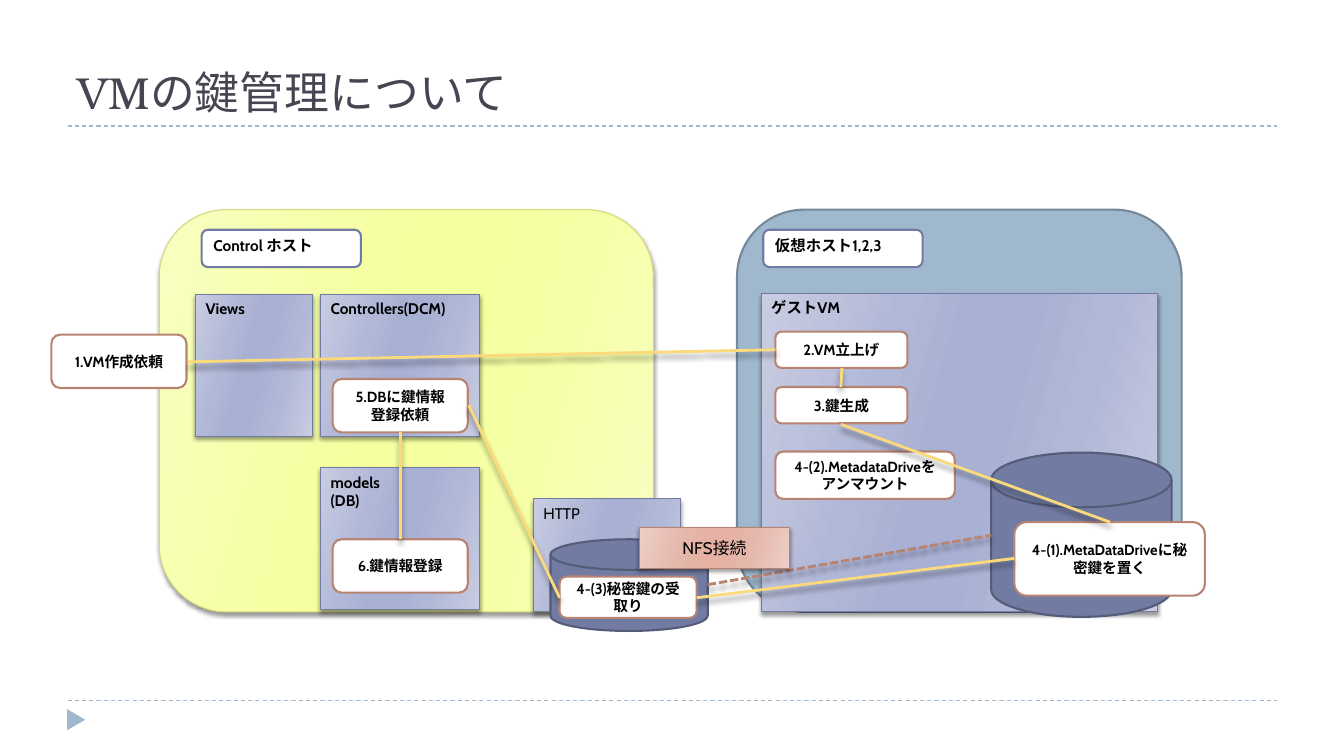
from dataclasses import dataclass
from typing import Optional

from lxml.etree import SubElement
from pptx import Presentation
from pptx.dml.color import RGBColor
from pptx.enum.dml import MSO_LINE_DASH_STYLE as Dash
from pptx.enum.shapes import MSO_CONNECTOR, MSO_SHAPE as Kind
from pptx.enum.text import MSO_ANCHOR as Anchor, PP_ALIGN as Align
from pptx.oxml.ns import qn
from pptx.util import Inches, Pt


@dataclass(frozen=True)
class Theme:
    body_font: str = "Cabin"
    title_font: str = "TeX Gyre Bonum"
    title_size: float = 32
    label_size: float = 11
    step_size: float = 10.5
    link_size: float = 12
    black: str = "000000"
    white: str = "FFFFFF"
    title: str = "464653"
    sky: str = "9FB8CD"
    sky_edge: str = "768898"
    indigo: str = "727CA3"
    indigo_edge: str = "545C79"
    lime_edge: str = "D2DA7A"
    clay: str = "B88472"
    gold: str = "FADA7A"
    indigo_shades: tuple = ("C9CDE2", "B1B7D7", "A8B0D3")
    lime_shades: tuple = ("F8FEC2", "F6FFA7", "F6FF9F")
    clay_shades: tuple = ("ECCEC6", "E6B8AC", "E4B1A3")


THEME = Theme()


@dataclass(frozen=True)
class Look:
    kind: Kind
    fill: str | tuple
    edge: Optional[str]
    edge_width: float = 1.5
    size: float = THEME.label_size
    bold: bool = True
    centred: bool = False


@dataclass(frozen=True)
class Block:
    look: Look
    left: float
    top: float
    width: float
    height: float
    text: str = ""


@dataclass(frozen=True)
class Link:
    start: tuple[float, float]
    end: tuple[float, float]
    color: str = THEME.gold
    width: float = 2
    dash: Optional[Dash] = None
    shadow: bool = True


VIRTUAL_HOST = Look(Kind.ROUNDED_RECTANGLE, THEME.sky, THEME.sky_edge)
CONTROL_HOST = Look(Kind.ROUNDED_RECTANGLE, THEME.lime_shades, THEME.lime_edge, 0.75)
MODULE = Look(Kind.RECTANGLE, THEME.indigo_shades, THEME.indigo, 0.75)
SERVICE = Look(Kind.RECTANGLE, THEME.indigo_shades, THEME.indigo, 0.75, bold=False)
HOST_NAME = Look(Kind.ROUNDED_RECTANGLE, THEME.white, THEME.indigo)
STEP = Look(Kind.ROUNDED_RECTANGLE, THEME.white, THEME.clay,
            size=THEME.step_size, centred=True)
DISK = Look(Kind.FLOWCHART_MAGNETIC_DISK, THEME.indigo, THEME.indigo_edge)
MOUNT = Look(Kind.RECTANGLE, THEME.clay_shades, THEME.clay, 0.75,
             THEME.link_size, False, True)
MARKER = Look(Kind.ISOSCELES_TRIANGLE, THEME.sky, None)

RULES = [Link((0.67, y), (12.67, y), THEME.sky, 0.75, Dash.DASH, False)
         for y in (6.95, 1.25)]

DIAGRAM = [
    Block(VIRTUAL_HOST, 7.31, 2.08, 4.41, 3.99),
    Block(MODULE, 7.55, 2.91, 3.93, 3.16, "ゲストVM"),
    Block(CONTROL_HOST, 1.58, 2.08, 4.9, 3.99),
    Block(MODULE, 1.94, 2.92, 1.16, 1.41, "Views"),
    Block(HOST_NAME, 2, 2.28, 1.58, 0.37, "Control ホスト"),
    Block(HOST_NAME, 7.57, 2.28, 1.58, 0.37, "仮想ホスト1,2,3"),
    Block(STEP, 0.51, 3.32, 1.34, 0.53, "1.VM作成依頼"),
    Block(STEP, 7.69, 3.29, 1.31, 0.36, "2.VM立上げ"),
    Block(SERVICE, 5.29, 4.95, 1.46, 1.12, "HTTP"),
    Block(STEP, 7.69, 3.84, 1.31, 0.36, "3.鍵生成"),
    Block(MODULE, 3.18, 2.92, 1.58, 1.41, "Controllers(DCM)"),
    Block(STEP, 3.3, 3.76, 1.34, 0.53, "5.DBに鍵情報\n登録依頼"),
    Block(MODULE, 3.18, 4.64, 1.58, 1.41, "models\n(DB)"),
    Block(STEP, 3.3, 5.35, 1.34, 0.53, "6.鍵情報登録"),
    Block(DISK, 9.83, 4.49, 1.79, 1.63),
    Block(STEP, 10.06, 5.18, 1.89, 0.73, "4-(1).MetaDataDriveに秘密鍵を置く"),
    Block(STEP, 7.69, 4.48, 1.78, 0.47, "4-(2).MetadataDriveをアンマウント"),
    Block(DISK, 5.46, 5.35, 1.56, 0.91),
    Block(STEP, 5.55, 5.72, 1.36, 0.41, "4-(3)秘密鍵の受取り"),
    Link((7.02, 5.8), (9.83, 5.31), THEME.clay, dash=Dash.SQUARE_DOT),
    Block(MOUNT, 6.34, 5.23, 1.49, 0.41, "NFS接続"),
    Link((1.86, 3.59), (7.69, 3.47)),
    Link((8.34, 3.84), (8.35, 3.65)),
    Link((11.01, 5.18), (8.34, 4.21)),
    Link((10.06, 5.54), (6.91, 5.93)),
    Link((4.65, 4.02), (5.55, 5.93)),
    Link((3.97, 4.29), (3.97, 5.35)),
]


def rgb(color: str) -> RGBColor:
    return RGBColor.from_string(color)


def add_shadow(effects, blur: float, distance: float) -> None:
    shadow = SubElement(effects, qn("a:outerShdw"), blurRad=str(Pt(blur)),
                        dist=str(Pt(distance)), dir="5400000", rotWithShape="0")
    color = SubElement(shadow, qn("a:srgbClr"), val=THEME.black)
    SubElement(color, qn("a:alpha"), val="40000")


def fill_sheen(shape, shades: tuple) -> None:
    shape.fill.gradient()
    gradient = shape.element.spPr.find(qn("a:gradFill"))
    for child in list(gradient):
        gradient.remove(child)
    stops = SubElement(gradient, qn("a:gsLst"))
    outer, middle, inner = shades
    colors = (outer, middle, inner, inner, middle, outer)
    for position, color in zip((0, 30, 45, 55, 73, 100), colors):
        stop = SubElement(stops, qn("a:gs"), pos=str(position * 1000))
        SubElement(stop, qn("a:srgbClr"), val=color)
    SubElement(gradient, qn("a:lin"), ang=str(16 * 60000), scaled="0")


def write_text(frame, text: str, font: str, size: float, color: str,
               bold: bool, align: Align, anchor: Anchor) -> None:
    frame.word_wrap = True
    frame.vertical_anchor = anchor
    frame.text = text
    for paragraph in frame.paragraphs:
        paragraph.alignment = align
        for run in paragraph.runs:
            run.font.name = font
            run.font.size = Pt(size)
            run.font.bold = bold
            run.font.color.rgb = rgb(color)


def draw_block(slide, block: Block):
    look = block.look
    shape = slide.shapes.add_shape(look.kind, Inches(block.left), Inches(block.top),
                                   Inches(block.width), Inches(block.height))
    shape.shadow.inherit = False
    if isinstance(look.fill, tuple):
        fill_sheen(shape, look.fill)
        add_shadow(shape.element.spPr.find(qn("a:effectLst")), 3, 2)
    else:
        shape.fill.solid()
        shape.fill.fore_color.rgb = rgb(look.fill)
    if look.edge:
        shape.line.color.rgb = rgb(look.edge)
        shape.line.width = Pt(look.edge_width)
    else:
        shape.line.fill.background()
    if block.text:
        write_text(shape.text_frame, block.text, THEME.body_font, look.size,
                   THEME.black, look.bold,
                   Align.CENTER if look.centred else Align.LEFT,
                   Anchor.MIDDLE if look.centred else Anchor.TOP)
    return shape


def draw_link(slide, link: Link) -> None:
    connector = slide.shapes.add_connector(
        MSO_CONNECTOR.STRAIGHT, *map(Inches, link.start + link.end))
    connector.line.color.rgb = rgb(link.color)
    connector.line.width = Pt(link.width)
    if link.dash:
        connector.line.dash_style = link.dash
    effects = SubElement(connector.element.spPr, qn("a:effectLst"))
    if link.shadow:
        add_shadow(effects, 4, 3.4)


def main() -> None:
    deck = Presentation()
    deck.slide_width, deck.slide_height = Inches(13.33), Inches(7.5)
    slide = deck.slides.add_slide(deck.slide_layouts[6])
    for rule in RULES:
        draw_link(slide, rule)
    draw_block(slide, Block(MARKER, 0.65, 7.05, 0.21, 0.18)).rotation = 90
    title = slide.shapes.add_textbox(Inches(0.67), Inches(0.14), Inches(12), Inches(1.08))
    write_text(title.text_frame, "VMの鍵管理について", THEME.title_font,
               THEME.title_size, THEME.title, False, Align.LEFT, Anchor.BOTTOM)
    for part in DIAGRAM:
        if isinstance(part, Link):
            draw_link(slide, part)
        else:
            draw_block(slide, part)
    deck.save("out.pptx")


if __name__ == "__main__":
    main()
